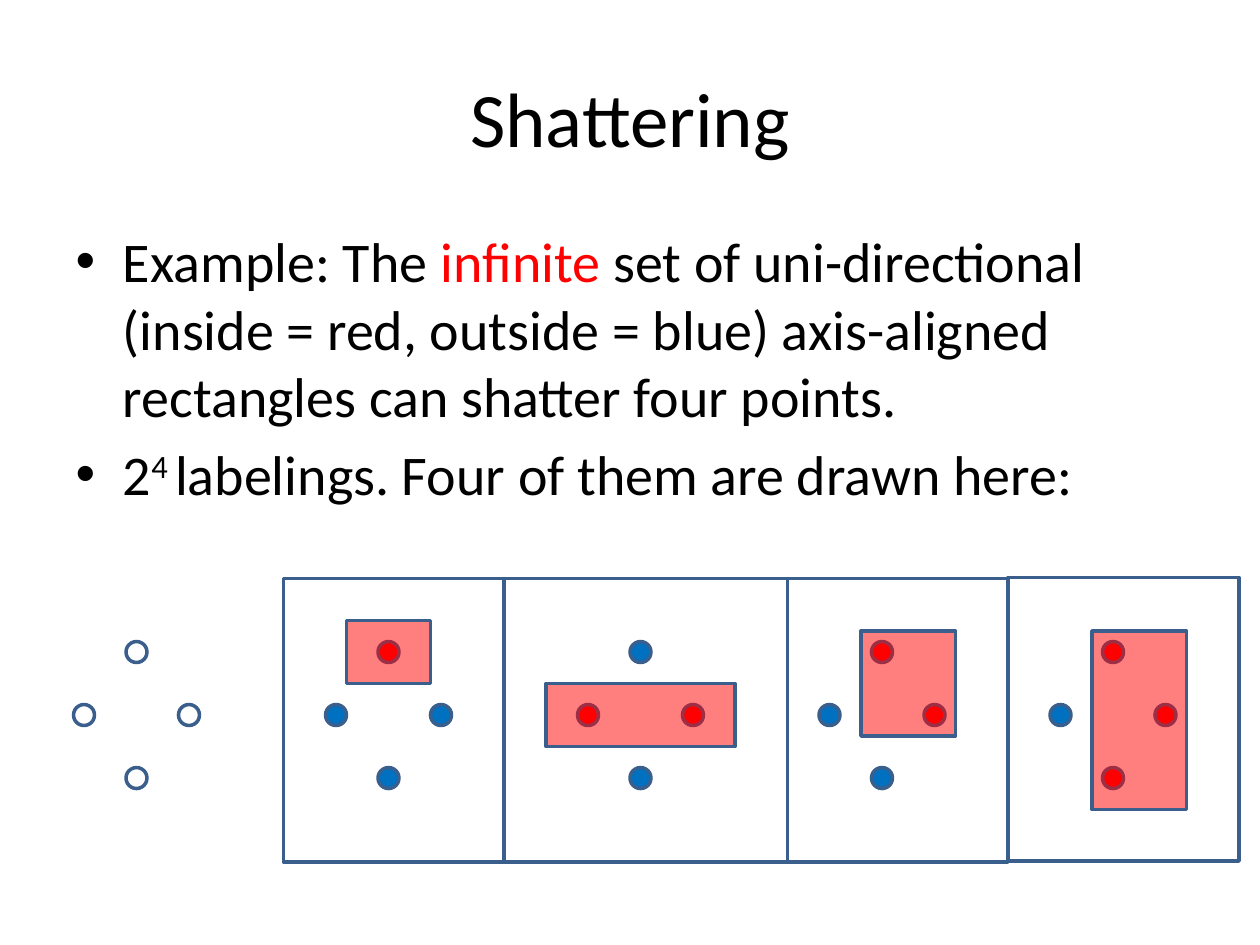
from pptx import Presentation
from pptx import util as u
from pptx.dml.color import RGBColor
from pptx.enum import shapes, text
from pptx.oxml import xmlchemy
from lxml import etree

PX = 7620
BLACK = RGBColor(0x00, 0x00, 0x00)
RED = RGBColor(0xFF, 0x00, 0x00)
BLUE = RGBColor(0x00, 0x70, 0xC0)
OUTLINE = RGBColor(0x3A, 0x5F, 0x8C)
A = "{http://schemas.openxmlformats.org/drawingml/2006/main}"

prs = Presentation()
prs.slide_width = 1200 * PX
prs.slide_height = 900 * PX
s = prs.slides.add_slide(prs.slide_layouts[1])


def place(sp, x, y, w, h):
    sp.left, sp.top, sp.width, sp.height = (v * PX for v in (x, y, w, h))


def add_outlined(kind, x, y, w, h, fill=None):
    sp = s.shapes.add_shape(kind, x * PX, y * PX, w * PX, h * PX)
    sp.shadow.inherit = False
    sp.line.color.rgb = OUTLINE
    sp.line.width = u.Pt(2)
    if fill is None:
        sp.fill.background()
    else:
        sp.fill.solid()
        sp.fill.fore_color.rgb = fill
    return sp


title = s.shapes.title
place(title, 60, 36, 1080, 150)
title.text_frame.text = "Shattering"
title.text_frame.vertical_anchor = text.MSO_ANCHOR.MIDDLE
p = title.text_frame.paragraphs[0]
p.alignment = text.PP_ALIGN.CENTER
p.runs[0].font.name = "Calibri"
p.runs[0].font.size = u.Pt(44)
p.runs[0].font.color.rgb = BLACK

body = s.placeholders[1]
place(body, 60, 210, 1080, 594)
tf = body.text_frame
bullets = [
    ["Example: The ", "infinite",
     " set of uni-directional (inside = red, outside = blue) axis-aligned"
     " rectangles can shatter four points."],
    ["2", "4 ", "labelings. Four of them are drawn here:"],
]
tf.text = "\n".join("" for _ in bullets)
for p, parts in zip(tf.paragraphs, bullets):
    for part in parts:
        r = p.add_run()
        r.text = part
        r.font.name = "Calibri"
        r.font.size = u.Pt(32)
        r.font.color.rgb = BLACK
example, labelings = tf.paragraphs
example.runs[1].font.color.rgb = RED
labelings.runs[1].font._element.set("baseline", "30000")

offsets = [(0, 0), (-50, 60), (50, 60), (0, 120)]
labelings_drawn = [
    (120, [None, None, None, None]),
    (360, [RED, BLUE, BLUE, BLUE]),
    (600, [BLUE, RED, RED, BLUE]),
    (830, [RED, BLUE, RED, BLUE]),
    (1050, [RED, BLUE, RED, RED]),
]
for x, colors in labelings_drawn:
    for (dx, dy), color in zip(offsets, colors):
        add_outlined(shapes.MSO_SHAPE.OVAL, x + dx, 611 + dy, 20, 20, color)

classifiers = [(330, 591, 80, 60), (520, 651, 180, 60),
               (820, 601, 90, 100), (1040, 601, 90, 170)]
for box in classifiers:
    sp = add_outlined(shapes.MSO_SHAPE.RECTANGLE, *box, RED)
    color = sp._element.spPr.find(f"{A}solidFill/{A}srgbClr")
    etree.SubElement(color, f"{A}alpha", val="50000")

x = 270
for y, w in [(551, 210), (551, 270), (551, 210), (550, 220)]:
    add_outlined(shapes.MSO_SHAPE.RECTANGLE, x, y, w, 270)
    x += w

prs.save("out.pptx")
